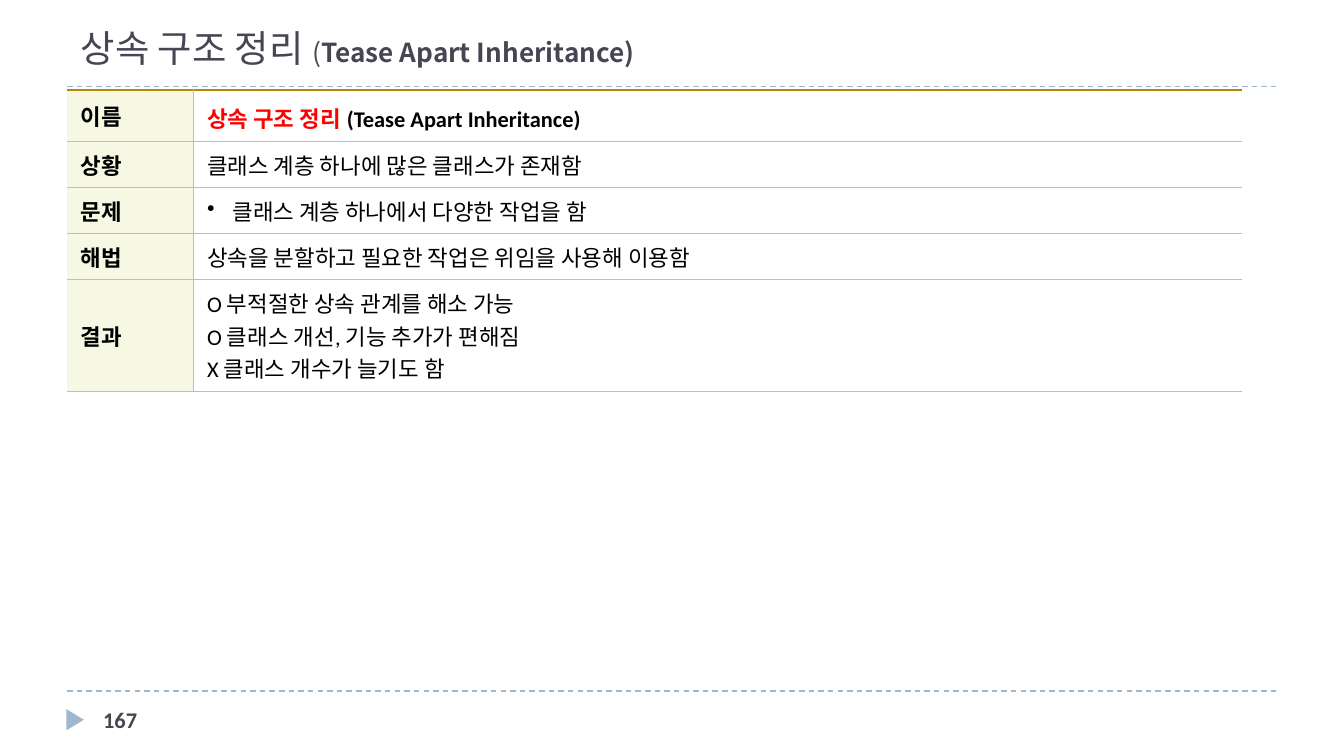
from lxml.etree import SubElement
from pptx import Presentation
from pptx.dml.color import RGBColor
from pptx.enum.dml import MSO_LINE
from pptx.enum.shapes import MSO_CONNECTOR, MSO_SHAPE
from pptx.enum.text import MSO_ANCHOR, PP_ALIGN
from pptx.oxml import parse_xml
from pptx.oxml.ns import nsdecls, qn
from pptx.util import Cm, Pt

INK = RGBColor(0x46, 0x46, 0x53)
BLACK = RGBColor(0, 0, 0)
RED = RGBColor(0xFF, 0, 0)
BLUE = RGBColor(0x9F, 0xB8, 0xCD)
CREAM = RGBColor(0xF6, 0xF8, 0xE4)
ROSE = RGBColor(0xD4, 0xB5, 0xAA)
GOLD = RGBColor(0xB3, 0x88, 0x07)
LATIN = "Calibri"
KOREAN = "Noto Sans CJK KR"

ROWS = [
    ("상황", ["클래스 계층 하나에 많은 클래스가 존재함"]),
    ("문제", ["클래스 계층 하나에서 다양한 작업을 함"]),
    ("해법", ["상속을 분할하고 필요한 작업은 위임을 사용해 이용함"]),
    ("결과", ["O 부적절한 상속 관계를 해소 가능",
            "O 클래스 개선, 기능 추가가 편해짐",
            "X 클래스 개수가 늘기도 함"]),
]
ROW_HEIGHTS = [0.98, 0.87, 0.87, 0.87, 2.1]


def set_font(font, size, color, bold=False, name=LATIN):
    font.size = Pt(size)
    font.bold = bold
    font.color.rgb = color
    font.name = name
    SubElement(font._element, qn("a:ea"), typeface=KOREAN)


def add_run(paragraph, text, *style):
    run = paragraph.add_run()
    run.text = text
    set_font(run.font, *style)


def add_title(slide):
    title = slide.shapes.title
    title.left, title.top, title.width, title.height = Cm(1.27), Cm(0.33), Cm(22.86), Cm(1.12)
    title.text_frame.vertical_anchor = MSO_ANCHOR.BOTTOM
    paragraph = title.text_frame.paragraphs[0]
    paragraph.alignment = PP_ALIGN.LEFT
    add_run(paragraph, "상속 구조 정리 ", 20, INK, False, KOREAN)
    add_run(paragraph, "(", 14, INK, False, KOREAN)
    add_run(paragraph, "Tease Apart Inheritance)", 14, INK, True, KOREAN)


def add_dashed_rule(slide, y):
    rule = slide.shapes.add_connector(MSO_CONNECTOR.STRAIGHT, Cm(1.27), Cm(y), Cm(24.13), Cm(y))
    rule.line.color.rgb = BLUE
    rule.line.width = Pt(0.75)
    rule.line.dash_style = MSO_LINE.DASH
    SubElement(rule._element.spPr, qn("a:effectLst"))


def add_page_number(slide):
    marker = slide.shapes.add_shape(MSO_SHAPE.ISOSCELES_TRIANGLE, Cm(1.22), Cm(13.44), Cm(0.4), Cm(0.33))
    marker.rotation = 90
    marker.shadow.inherit = False
    marker.fill.solid()
    marker.fill.fore_color.rgb = BLUE
    marker.line.fill.background()
    box = slide.shapes.add_textbox(Cm(1.7), Cm(13.23), Cm(5.51), Cm(0.76))
    box.text_frame.word_wrap = True
    box.text_frame.vertical_anchor = MSO_ANCHOR.MIDDLE
    paragraph = box.text_frame.paragraphs[0]
    paragraph.text = "167"
    set_font(paragraph.font, 12, INK, True)


def set_borders(cell, borders):
    properties = cell._tc.get_or_add_tcPr()
    for index, side in enumerate("LRTB"):
        color, width = borders.get(side, (None, 0))
        fill = f'<a:solidFill><a:srgbClr val="{color}"/></a:solidFill>' if color else "<a:noFill/>"
        properties.insert(index, parse_xml(
            f'<a:ln{side} {nsdecls("a")} w="{Pt(width)}">{fill}</a:ln{side}>'))


def format_cell(cell, is_label, is_first):
    cell.vertical_anchor = MSO_ANCHOR.MIDDLE
    if is_label:
        cell.fill.solid()
        cell.fill.fore_color.rgb = CREAM
    else:
        cell.fill.background()
    thin = (ROSE, 0.5)
    set_borders(cell, {"R" if is_label else "L": thin, "B": thin,
                       "T": (GOLD, 1) if is_first else thin})


def fill_cell(cell, lines, bold=False):
    cell.text = "\n".join(lines)
    for paragraph in cell.text_frame.paragraphs:
        set_font(paragraph.font, 12, BLACK, bold)


def add_bullet(paragraph):
    properties = paragraph._p.get_or_add_pPr()
    properties.set("marL", str(Cm(0.48)))
    properties.set("indent", str(-Cm(0.48)))
    properties.insert(0, parse_xml(f'<a:buChar {nsdecls("a")} char="•"/>'))


def add_summary_table(slide):
    frame = slide.shapes.add_table(len(ROW_HEIGHTS), 2, Cm(1.27), Cm(1.7), Cm(22.2), Cm(sum(ROW_HEIGHTS)))
    table = frame.table
    table.first_row = table.horz_banding = False
    table.columns[0].width, table.columns[1].width = Cm(2.39), Cm(19.81)
    for index, height in enumerate(ROW_HEIGHTS):
        table.rows[index].height = Cm(height)
        for column in range(2):
            format_cell(table.cell(index, column), column == 0, index == 0)

    fill_cell(table.cell(0, 0), ["이름"], True)
    heading = table.cell(0, 1).text_frame.paragraphs[0]
    add_run(heading, "상속 구조 정리", 12, RED, True)
    add_run(heading, " ", 14, BLACK, True)
    add_run(heading, "(Tease Apart Inheritance)", 12, BLACK, True)
    for index, (label, lines) in enumerate(ROWS, start=1):
        fill_cell(table.cell(index, 0), [label], True)
        fill_cell(table.cell(index, 1), lines)
    add_bullet(table.cell(2, 1).text_frame.paragraphs[0])


def main():
    presentation = Presentation()
    presentation.slide_width, presentation.slide_height = Cm(25.4), Cm(14.29)
    slide = presentation.slides.add_slide(presentation.slide_layouts[5])
    add_dashed_rule(slide, 13.06)
    add_dashed_rule(slide, 1.63)
    add_page_number(slide)
    add_summary_table(slide)
    add_title(slide)
    presentation.save("out.pptx")


if __name__ == "__main__":
    main()
